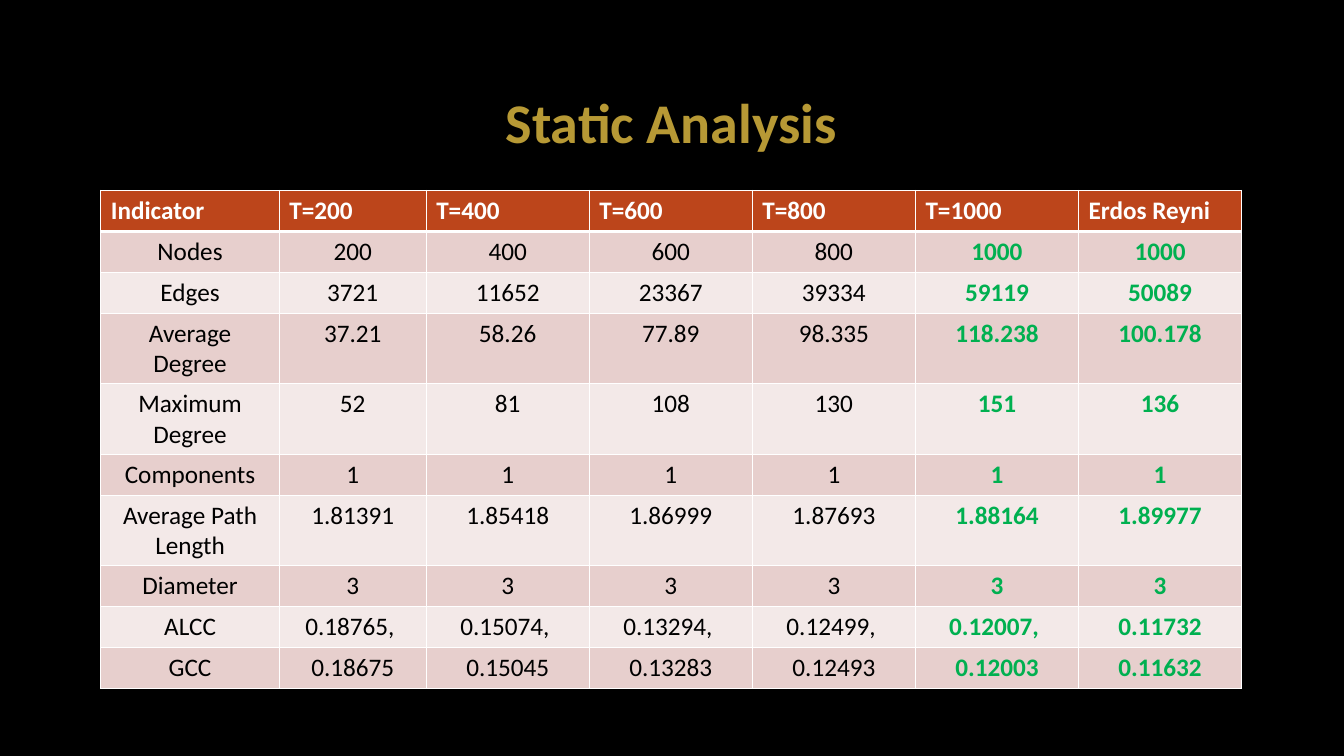
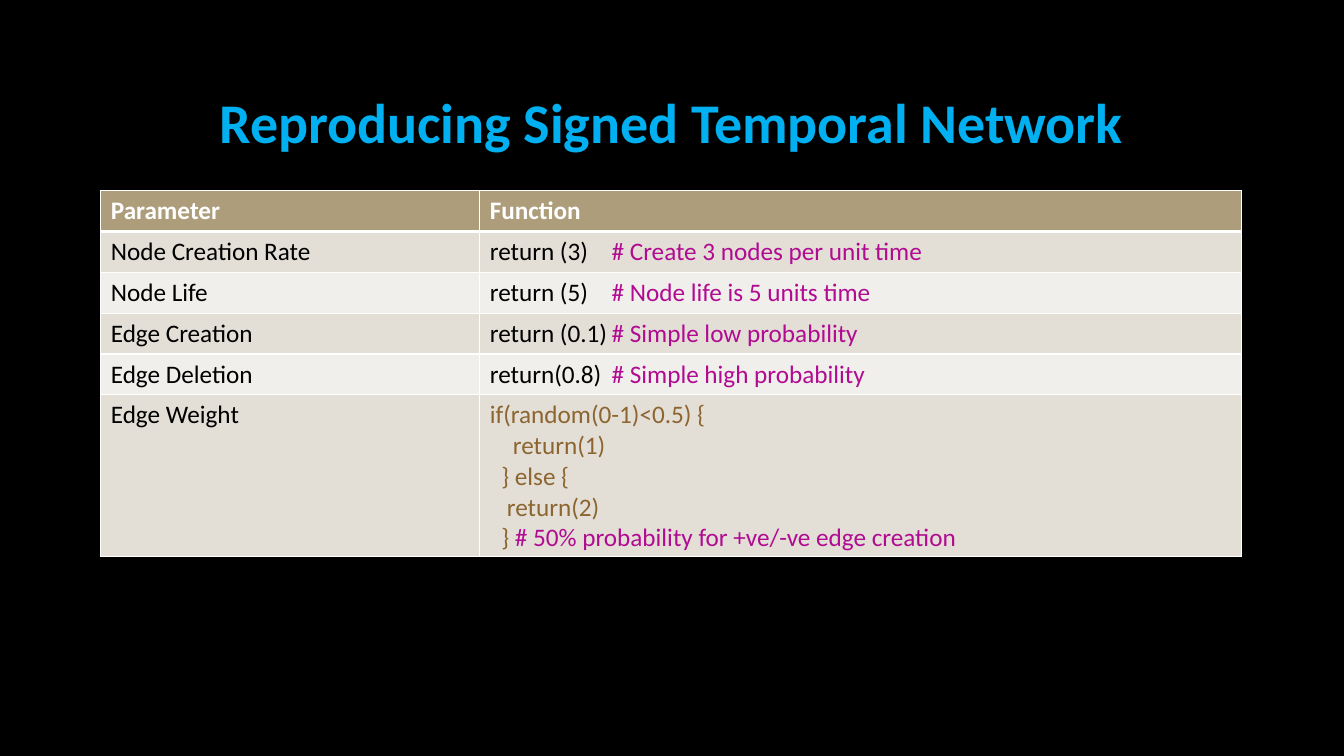
from dataclasses import dataclass

from lxml.etree import SubElement
from pptx import Presentation
from pptx.dml.color import RGBColor as Rgb
from pptx.enum.text import MSO_VERTICAL_ANCHOR as Anchor, PP_PARAGRAPH_ALIGNMENT as Align
from pptx.oxml.ns import qn
from pptx.util import Cm, Pt


@dataclass(frozen=True)
class Theme:
    font: str = "Calibri"
    title_size: int = 40
    table_size: int = 18
    rule: float = 1
    header_rule: float = 3
    background: str = "000000"
    text: str = "000000"
    white: str = "FFFFFF"
    gold: str = "B79935"
    blue: str = "00B0F0"
    green: str = "00B050"
    magenta: str = "B10B91"
    brown: str = "8C6530"


THEME = Theme()

LEFT, WIDTH = Cm(2.54), Cm(28.75)
TITLE_TOP, TITLE_HEIGHT = Cm(1.7), Cm(2.69)
TABLE_TOP, ROW_HEIGHT = Cm(4.8), Cm(1.03)
COMMENT_TAB = Cm(3.07)


@dataclass(frozen=True)
class Span:
    text: str
    color: str = THEME.text
    bold: bool = False


@dataclass(frozen=True)
class Line:
    spans: tuple[Span, ...]
    indent: float = 0
    tab: bool = False


Cell = tuple[Line, ...]


@dataclass(frozen=True)
class Grid:
    columns: tuple[float, ...]
    header: tuple[str, ...]
    rows: list[list[Cell]]
    header_fill: str
    band_fills: tuple[str, str]
    align: Align


@dataclass(frozen=True)
class Page:
    title: str
    title_color: str
    grid: Grid


def plain(text: str, color: str = THEME.text, bold: bool = False) -> Cell:
    """Cell holding one line in one format."""
    return (Line((Span(text, color, bold),)),)


def commented(code: str, comment: str) -> Cell:
    """Cell with code and a comment lined up at the tab stop."""
    return (Line((Span(code + "\t"), Span(comment, THEME.magenta)), tab=True),)


def code_line(text: str, indent: float = 0, comment: str = "") -> Line:
    spans = (Span(text, THEME.brown),)
    if comment:
        spans += (Span(comment, THEME.magenta),)
    return Line(spans, indent)


def measure_row(label: str, *values: str) -> list[Cell]:
    """Row whose last two values stand out."""
    last = len(values) - 2
    return [plain(label)] + [
        plain(value, THEME.green, True) if index >= last else plain(value)
        for index, value in enumerate(values)
    ]


STATIC_ANALYSIS = Grid(
    columns=(4.5, 3.7) + (4.11,) * 5,
    header=("Indicator", "T=200", "T=400", "T=600", "T=800", "T=1000", "Erdos Reyni"),
    rows=[
        measure_row("Nodes", "200", "400", "600", "800", "1000", "1000"),
        measure_row("Edges", "3721", "11652", "23367", "39334", "59119", "50089"),
        measure_row("Average Degree", "37.21", "58.26", "77.89", "98.335", "118.238", "100.178"),
        measure_row("Maximum Degree", "52", "81", "108", "130", "151", "136"),
        measure_row("Components", *["1"] * 6),
        measure_row("Average Path Length",
                    "1.81391", "1.85418", "1.86999", "1.87693", "1.88164", "1.89977"),
        measure_row("Diameter", *["3"] * 6),
        measure_row("ALCC", "0.18765, ", "0.15074, ", "0.13294, ", "0.12499, ", "0.12007, ",
                    "0.11732"),
        measure_row("GCC", "0.18675", "0.15045", "0.13283", "0.12493", "0.12003", "0.11632"),
    ],
    header_fill="BC451B",
    band_fills=("E7CFCD", "F3E9E8"),
    align=Align.CENTER,
)

NETWORK_PARAMETERS = Grid(
    columns=(9.55, 19.2),
    header=("Parameter", "Function"),
    rows=[
        [plain("Node Creation Rate"), commented("return (3)", "# Create 3 nodes per unit time")],
        [plain("Node Life"), commented("return (5)", "# Node life is 5 units time")],
        [plain("Edge Creation"), commented("return (0.1)", "# Simple low probability")],
        [plain("Edge Deletion"), commented("return(0.8)", "# Simple high probability")],
        [plain("Edge Weight"), (
            code_line("if(random(0-1)<0.5) {"),
            code_line("return(1)", 0.58),
            code_line("} else {", 0.29),
            code_line("return(2)", 0.43),
            code_line("} ", 0.29, "# 50% probability for +ve/-ve edge creation"),
        )],
    ],
    header_fill="AD9D7B",
    band_fills=("E3DFD7", "F1EFEC"),
    align=Align.LEFT,
)

PAGES = (
    Page("Static Analysis", THEME.gold, STATIC_ANALYSIS),
    Page("Reproducing Signed Temporal Network", THEME.blue, NETWORK_PARAMETERS),
)


def write_lines(frame, lines: Cell, size: float, align: Align) -> None:
    for index, line in enumerate(lines):
        para = frame.add_paragraph() if index else frame.paragraphs[0]
        para.alignment = align
        properties = para._p.get_or_add_pPr()
        if line.indent:
            properties.set("marL", str(Cm(line.indent)))
        if line.tab:
            stops = SubElement(properties, qn("a:tabLst"))
            SubElement(stops, qn("a:tab"), pos=str(COMMENT_TAB), algn="l")
        for span in line.spans:
            run = para.add_run()
            run.text = span.text
            formats = {"name": THEME.font, "size": Pt(size), "bold": span.bold}
            for name, value in formats.items():
                setattr(run.font, name, value)
            run.font.color.rgb = Rgb.from_string(span.color)


def draw_borders(cell, top: float, bottom: float) -> None:
    properties = cell._tc.get_or_add_tcPr()
    widths = {"lnL": THEME.rule, "lnR": THEME.rule, "lnT": top, "lnB": bottom}
    for side, width in widths.items():
        border = SubElement(properties, qn(f"a:{side}"), w=str(Pt(width)))
        fill = SubElement(border, qn("a:solidFill"))
        SubElement(fill, qn("a:srgbClr"), val=THEME.white)


def add_title(slide, page: Page) -> None:
    box = slide.shapes.add_textbox(LEFT, TITLE_TOP, WIDTH, TITLE_HEIGHT)
    frame = box.text_frame
    for name, value in {"word_wrap": True, "vertical_anchor": Anchor.MIDDLE}.items():
        setattr(frame, name, value)
    write_lines(frame, plain(page.title, page.title_color, True), THEME.title_size, Align.CENTER)


def add_grid(slide, grid: Grid) -> None:
    header = [plain(text, THEME.white, True) for text in grid.header]
    rows = [header, *grid.rows]
    table = slide.shapes.add_table(
        len(rows), len(header), LEFT, TABLE_TOP, WIDTH, ROW_HEIGHT * len(rows)
    ).table
    for column, width in zip(table.columns, grid.columns):
        column.width = Cm(width)
    for row_index, row in enumerate(rows):
        table.rows[row_index].height = ROW_HEIGHT
        is_header = row_index == 0
        fill = grid.header_fill if is_header else grid.band_fills[(row_index - 1) % 2]
        top = THEME.header_rule if row_index == 1 else THEME.rule
        bottom = THEME.header_rule if is_header else THEME.rule
        for column_index, lines in enumerate(row):
            cell = table.cell(row_index, column_index)
            draw_borders(cell, top, bottom)
            cell.fill.solid()
            cell.fill.fore_color.rgb = Rgb.from_string(fill)
            align = Align.LEFT if is_header else grid.align
            write_lines(cell.text_frame, lines, THEME.table_size, align)


def main() -> None:
    deck = Presentation()
    deck.slide_width, deck.slide_height = Cm(33.87), Cm(19.05)
    background = deck.slide_master.background.fill
    background.solid()
    background.fore_color.rgb = Rgb.from_string(THEME.background)
    blank = deck.slide_layouts[6]
    for page in PAGES:
        slide = deck.slides.add_slide(blank)
        add_title(slide, page)
        add_grid(slide, page.grid)
    deck.save("out.pptx")


if __name__ == "__main__":
    main()
